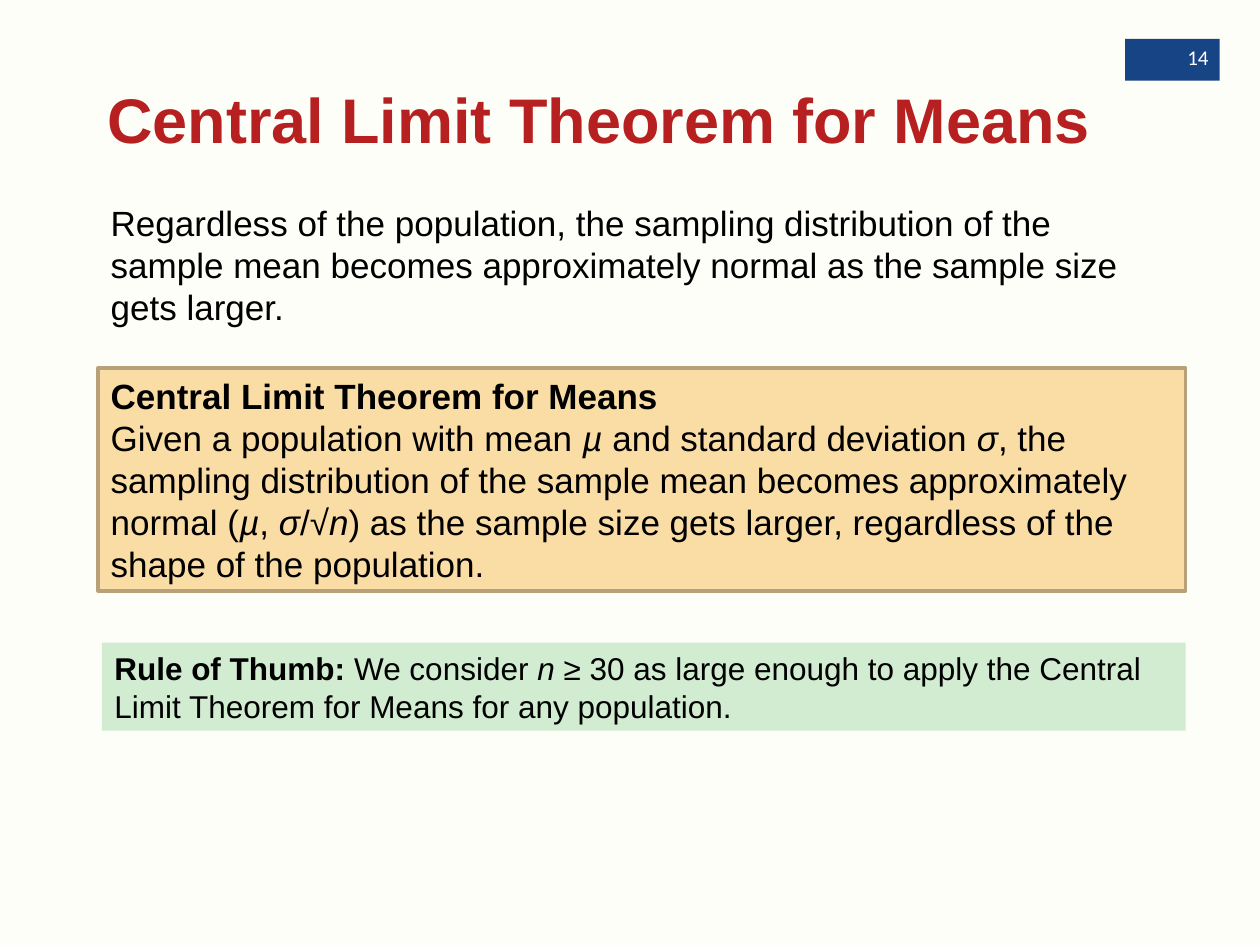
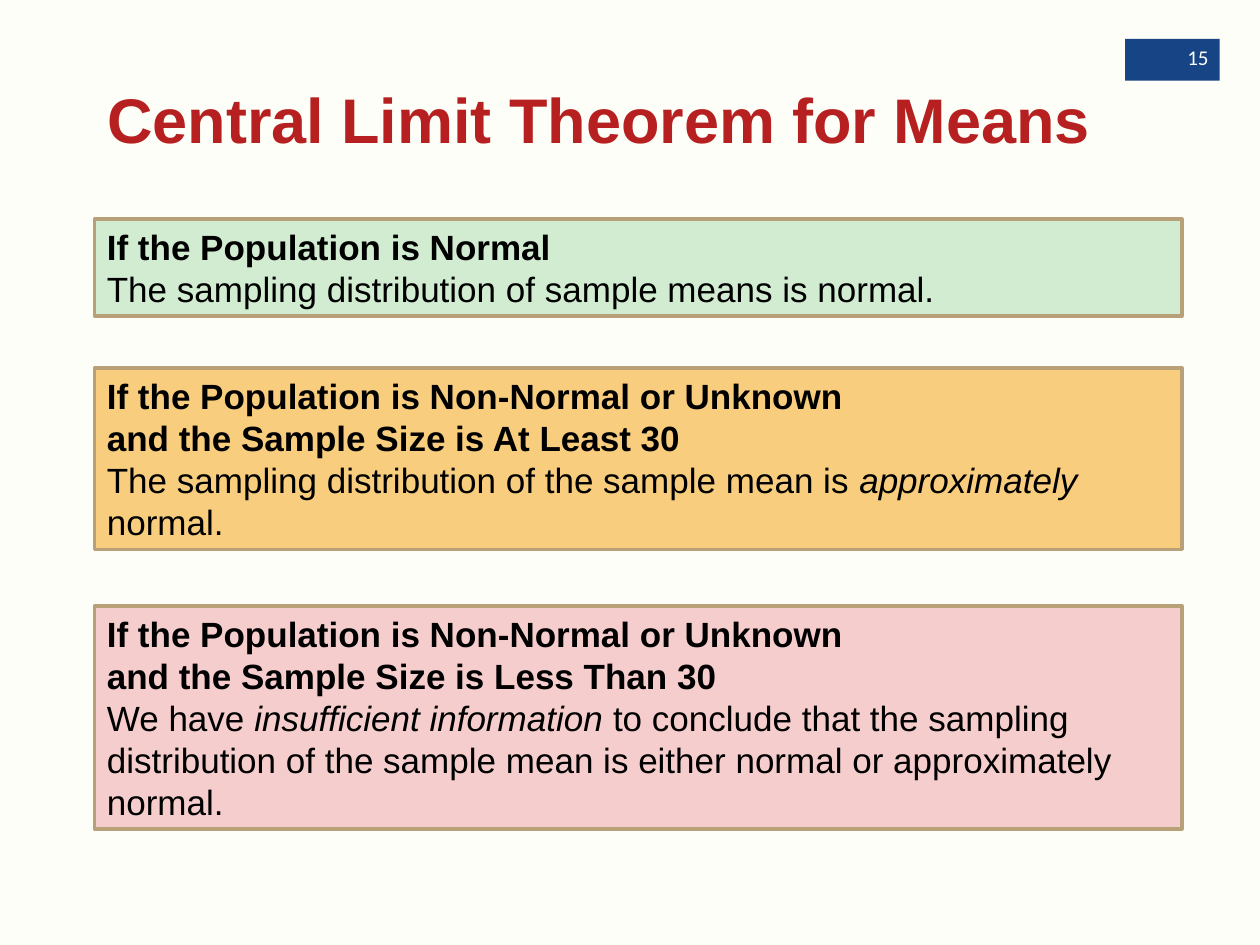
from pptx import Presentation
from pptx.dml.color import RGBColor
from pptx.enum.shapes import MSO_SHAPE
from pptx.enum.text import MSO_ANCHOR, MSO_AUTO_SIZE, PP_ALIGN
from pptx.util import Inches, Pt

# Shared colours and title
CREAM = RGBColor(0xFD, 0xFE, 0xF7)
NAVY = RGBColor(0x16, 0x44, 0x84)
RED = RGBColor(0xB7, 0x20, 0x20)
TAN = RGBColor(0xB8, 0xA1, 0x78)
LIGHT_ORANGE = RGBColor(0xFA, 0xDC, 0xA5)
ORANGE = RGBColor(0xF8, 0xCD, 0x7E)
GREEN = RGBColor(0xD1, 0xEC, 0xD1)
PINK = RGBColor(0xF6, 0xCD, 0xCD)
BLACK = RGBColor(0, 0, 0)
WHITE = RGBColor(0xFF, 0xFF, 0xFF)
TITLE = "Central Limit Theorem for Means"
FIRST_NUMBER = 14
UNKNOWN = [("If the Population is Non-Normal or Unknown", "bold")]

# Panels: left, top, width, height, fill, outline, text size, paragraphs of (text, style) runs
theorem_panels = [
    (0.78, 1.55, 8.56, 1.1, None, None, 20, [
        [("Regardless of the population, the sampling distribution of the sample mean "
          "becomes approximately normal as the sample size gets larger.", "plain")],
    ]),
    (0.78, 2.92, 8.63, 1.77, LIGHT_ORANGE, TAN, 20, [
        [(TITLE, "bold")],
        [("Given a population with mean ", "plain"), ("µ", "italic"),
         (" and standard deviation ", "plain"), ("σ", "italic"),
         (", the sampling distribution of the sample mean becomes approximately normal (", "plain"),
         ("µ", "italic"), (", ", "plain"), ("σ", "italic"), ("/", "plain"), ("√n", "italic"),
         (") as the sample size gets larger, regardless of the shape of the population.", "plain")],
    ]),
    (0.81, 5.1, 8.6, 0.7, GREEN, None, 18, [
        [("Rule of Thumb:", "bold"), (" We consider ", "plain"), ("n", "italic"),
         (" ≥ 30 as large enough to apply the Central Limit Theorem for Means "
          "for any population.", "plain")],
    ]),
]
case_panels = [
    (0.75, 1.74, 8.63, 0.77, GREEN, TAN, 20, [
        [("If the Population is Normal", "bold")],
        [("The sampling distribution of sample means is normal.", "plain")],
    ]),
    (0.75, 2.92, 8.63, 1.44, ORANGE, TAN, 20, [
        UNKNOWN,
        [("and the Sample Size is At Least 30", "bold")],
        [("The sampling distribution of the sample mean is ", "plain"),
         ("approximately ", "italic"), ("normal.", "plain")],
    ]),
    (0.75, 4.81, 8.63, 1.77, PINK, TAN, 20, [
        UNKNOWN,
        [("and the Sample Size is Less Than 30", "bold")],
        [("We have ", "plain"), ("insufficient information ", "italic"),
         ("to conclude that the sampling distribution of the sample mean is either "
          "normal or approximately normal.", "plain")],
    ]),
]


def add_run(paragraph, text, size, color, font_name="Arial", style="plain"):
    run = paragraph.add_run()
    run.text = text
    run.font.name = font_name
    run.font.size = Pt(size)
    run.font.color.rgb = color
    run.font.bold = style == "bold"
    run.font.italic = style == "italic"


def add_rectangle(slide, left, top, width, height, fill, outline=None):
    shape = slide.shapes.add_shape(
        MSO_SHAPE.RECTANGLE, Inches(left), Inches(top), Inches(width), Inches(height))
    shape.shadow.inherit = False
    shape.fill.solid()
    shape.fill.fore_color.rgb = fill
    if outline is None:
        shape.line.fill.background()
    else:
        shape.line.color.rgb = outline
        shape.line.width = Pt(2)
    return shape


presentation = Presentation()
presentation.slide_width = Inches(10)
presentation.slide_height = Inches(7.5)
title_only = presentation.slide_layouts[5]

for number, panels in enumerate([theorem_panels, case_panels], FIRST_NUMBER):
    slide = presentation.slides.add_slide(title_only)
    slide.background.fill.solid()
    slide.background.fill.fore_color.rgb = CREAM

    # Slide number on its band
    add_rectangle(slide, 8.93, 0.31, 0.75, 0.33, NAVY)
    number_box = slide.shapes.add_textbox(Inches(9.08), Inches(0.27), Inches(0.61), Inches(0.4))
    number_box.text_frame.word_wrap = True
    number_box.text_frame.vertical_anchor = MSO_ANCHOR.MIDDLE
    paragraph = number_box.text_frame.paragraphs[0]
    paragraph.alignment = PP_ALIGN.RIGHT
    paragraph.line_spacing = 0.8
    add_run(paragraph, str(number), 12, WHITE, "Calibri")

    # Title
    title = slide.shapes.title
    title.left, title.top = Inches(0.75), Inches(0.33)
    title.width, title.height = Inches(8.12), Inches(1.22)
    title.text_frame.auto_size = MSO_AUTO_SIZE.NONE
    title.text_frame.vertical_anchor = MSO_ANCHOR.MIDDLE
    paragraph = title.text_frame.paragraphs[0]
    paragraph.alignment = PP_ALIGN.LEFT
    add_run(paragraph, TITLE, 36, RED, style="bold")

    # Text panels
    for left, top, width, height, fill, outline, size, paragraphs in panels:
        if fill is None:
            panel = slide.shapes.add_textbox(
                Inches(left), Inches(top), Inches(width), Inches(height))
        else:
            panel = add_rectangle(slide, left, top, width, height, fill, outline)
        frame = panel.text_frame
        frame.word_wrap = True
        frame.auto_size = MSO_AUTO_SIZE.SHAPE_TO_FIT_TEXT
        frame.vertical_anchor = MSO_ANCHOR.TOP
        for index, runs in enumerate(paragraphs):
            paragraph = frame.add_paragraph() if index else frame.paragraphs[0]
            paragraph.alignment = PP_ALIGN.LEFT
            for text, style in runs:
                add_run(paragraph, text, size, BLACK, style=style)

presentation.save("out.pptx")
